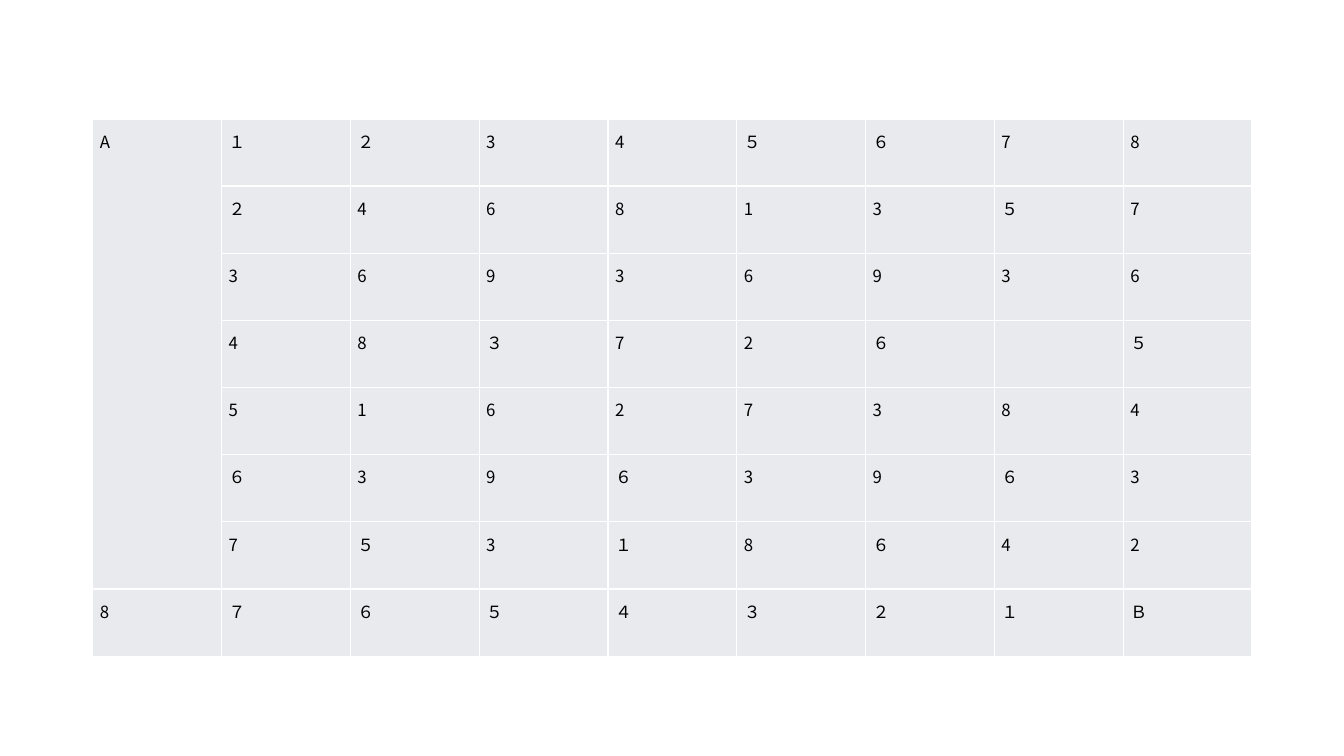
from lxml import etree
from pptx import Presentation
from pptx import util as u
from pptx.dml.color import RGBColor
from pptx.oxml import ns

COLORS = {"cell": "E8EAED", "border": "FFFFFF", "text": "000000"}
# Each character is one cell; a space is an empty cell.
DIGITS = [
    "A１２34５６78",
    " ２46813５7",
    " 36936936",
    " 48３72６ ５",
    " 51627384",
    " ６39６39６3",
    " 7５3１8６42",
    "8７６５４３２１Ｂ",
]


class Deck:
    font, size = "Noto Sans CJK SC", u.Pt(12)
    left, top = 0.92, 1.18
    column, row = 11.5 / 9, 5.33 / 8

    def __init__(self):
        self.prs = Presentation()
        self.prs.slide_width = u.Inches(13.33)
        self.prs.slide_height = u.Inches(7.5)
        self.s = self.prs.slides.add_slide(self.prs.slide_layouts[6])

    def table(self, rows, merged_rows):
        """Add a table on the grid, merging the top of its first column."""
        n_rows, n_cols = len(rows), len(rows[0])
        table = self.s.shapes.add_table(
            n_rows, n_cols, u.Inches(self.left), u.Inches(self.top),
            u.Inches(n_cols * self.column), u.Inches(n_rows * self.row)).table
        table.first_row = table.horz_banding = False
        table.cell(0, 0).merge(table.cell(merged_rows - 1, 0))
        for r, values in enumerate(rows):
            for c, value in enumerate(values):
                self.cell(table.cell(r, c), value.strip())

    def cell(self, cell, value):
        cell.margin_left = cell.margin_right = u.Inches(0.07)
        cell.margin_top, cell.margin_bottom = u.Pt(1.8), 0
        cell.fill.solid()
        cell.fill.fore_color.rgb = RGBColor.from_string(COLORS["cell"])
        self.borders(cell)
        if value:
            self.label(cell.text_frame.paragraphs[0], value)

    def label(self, p, value):
        p.text = value
        p.line_spacing, p.space_after = 1.3, u.Pt(1.8)
        font = p.runs[0].font
        font.name, font.size = self.font, self.size
        font.color.rgb = RGBColor.from_string(COLORS["text"])
        # Full-width digits take the East Asian typeface.
        etree.SubElement(p.runs[0]._r.rPr, ns.qn("a:ea"), typeface=self.font)

    def borders(self, cell):
        tcPr = cell._tc.get_or_add_tcPr()
        for i, side in enumerate("LRTB"):
            line = etree.Element(ns.qn(f"a:ln{side}"), w=str(u.Pt(1)))
            fill = etree.SubElement(line, ns.qn("a:solidFill"))
            etree.SubElement(fill, ns.qn("a:srgbClr"), val=COLORS["border"])
            tcPr.insert(i, line)


def main():
    deck = Deck()
    deck.table(DIGITS, merged_rows=7)
    deck.prs.save("out.pptx")


if __name__ == "__main__":
    main()
